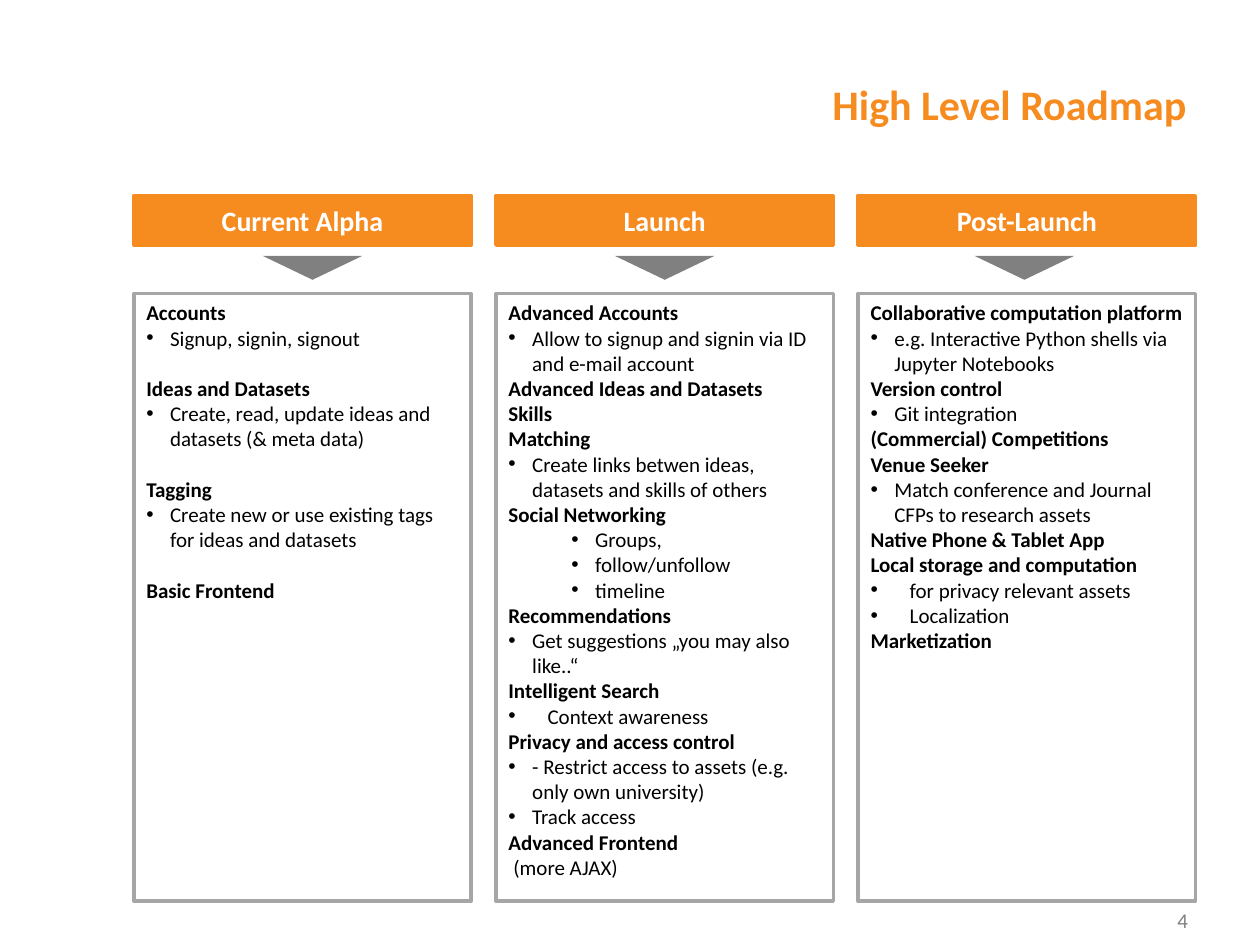
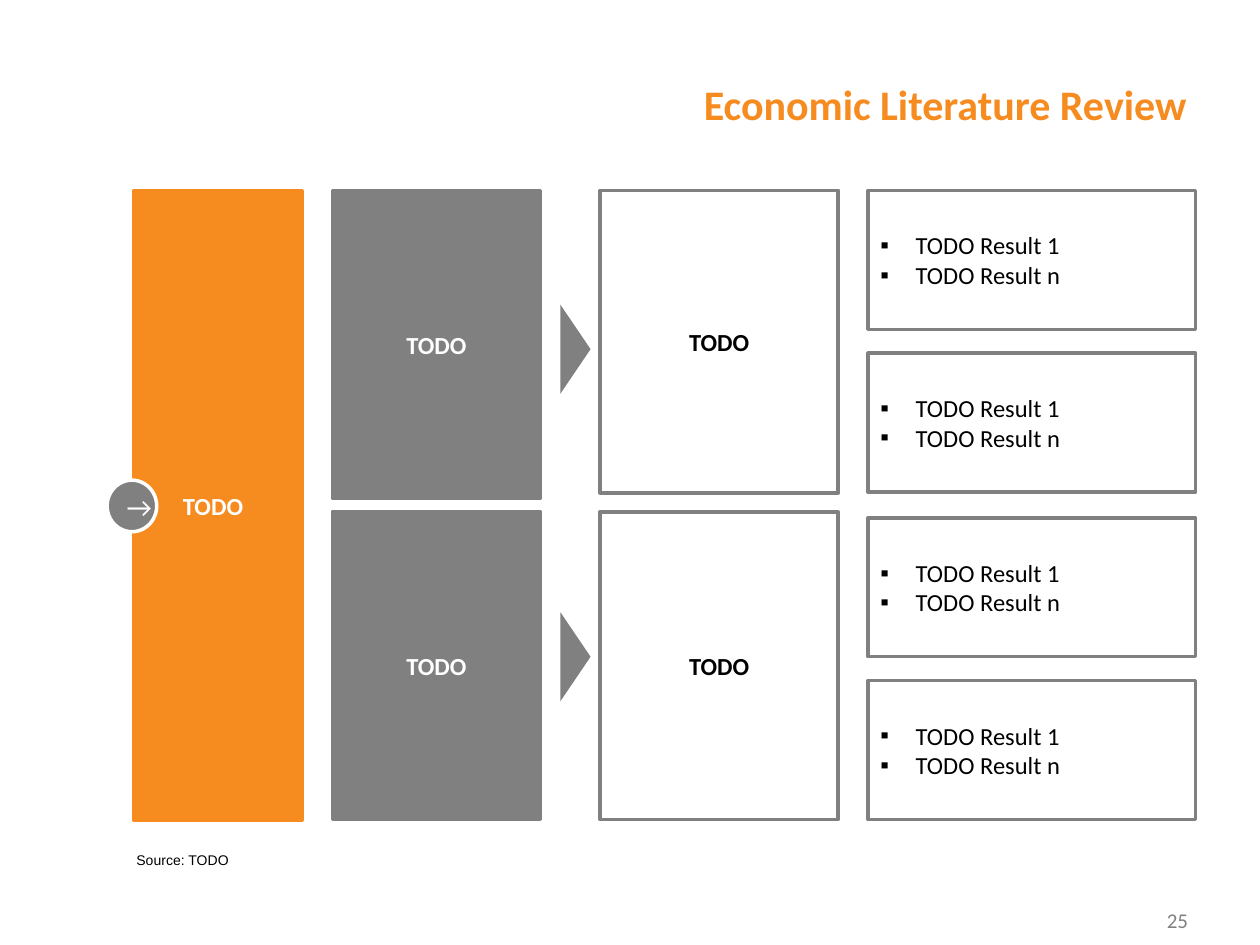
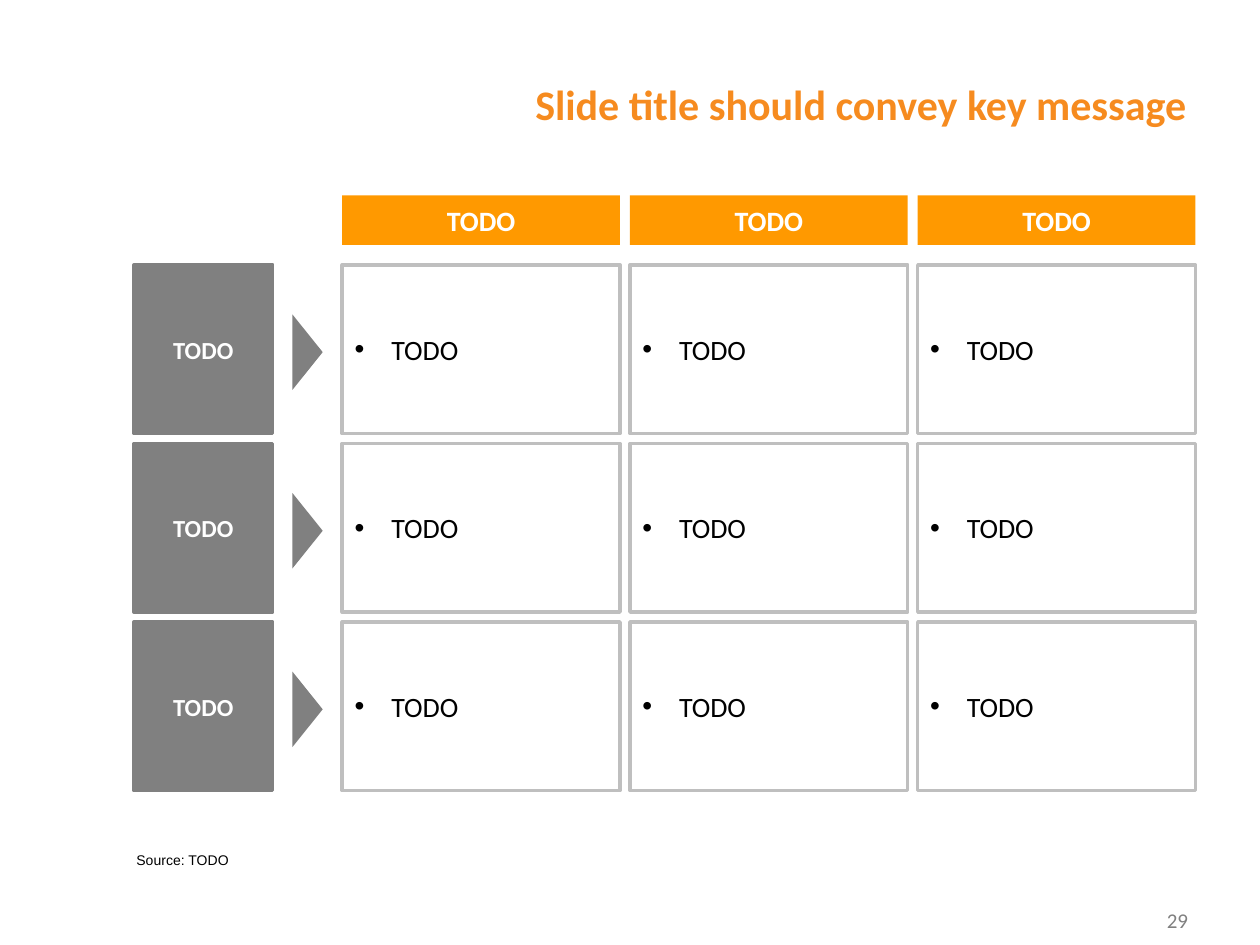
from lxml.etree import SubElement
from pptx import Presentation
from pptx.dml.color import RGBColor
from pptx.enum.shapes import MSO_SHAPE
from pptx.enum.text import MSO_ANCHOR, PP_ALIGN
from pptx.oxml.ns import qn
from pptx.util import Cm, Pt

HUES = {
    "brand": "F68B1F", "amber": "FF9900", "gray": "808080", "mid": "A6A6A6",
    "pale": "BFBFBF", "white": "FFFFFF", "black": "000000",
}

# Line kinds: bold, left margin, hanging indent (cm), bullet, space before (pt)
KINDS = {
    "head": (True, 0, 0, None, 0),
    "next": (True, 0, 0, None, 14.4),
    "note": (False, 0.1, 0, None, 0),
    "item": (False, 0.48, 0.48, "•", 0),
    "wide": (False, 0.79, 0.79, "•", 0),
    "deep": (False, 1.75, 0.48, "•", 0),
    "cell": (False, 0.74, 0.74, "•", 0),
    "find": (False, 0.71, 0.71, "▪", 0),
    "push": (True, 0.74, 0, None, 0),
}

# Content area shared by all slides (cm)
LEFT, TOP, WIDTH = 2.7, 3.84, 21.4

ROADMAP = [
    ("Current Alpha", 2.6, [
        ("head", "Accounts"),
        ("item", "Signup, signin, signout"),
        ("next", "Ideas and Datasets"),
        ("item", "Create, read, update ideas and datasets (& meta data)"),
        ("next", "Tagging"),
        ("item", "Create new or use existing tags for ideas and datasets"),
        ("next", "Basic Frontend"),
    ]),
    ("Launch", 2.4, [
        ("head", "Advanced Accounts"),
        ("item", "Allow to signup and signin via ID and e-mail account"),
        ("head", "Advanced Ideas and Datasets"),
        ("head", "Skills"),
        ("head", "Matching"),
        ("item", "Create links betwen ideas, datasets and skills of others"),
        ("head", "Social Networking"),
        ("deep", "Groups,"),
        ("deep", "follow/unfollow"),
        ("deep", "timeline"),
        ("head", "Recommendations"),
        ("item", "Get suggestions „you may also like..“"),
        ("head", "Intelligent Search"),
        ("wide", "Context awareness"),
        ("head", "Privacy and access control"),
        ("item", "- Restrict access to assets (e.g. only own university)"),
        ("item", "Track access"),
        ("head", "Advanced Frontend"),
        ("note", "(more AJAX)"),
    ]),
    ("Post-Launch", 2.35, [
        ("head", "Collaborative computation platform"),
        ("item", "e.g. Interactive Python shells via Jupyter Notebooks"),
        ("head", "Version control"),
        ("item", "Git integration"),
        ("head", "(Commercial) Competitions"),
        ("head", "Venue Seeker"),
        ("item", "Match conference and Journal CFPs to research assets"),
        ("head", "Native Phone & Tablet App"),
        ("head", "Local storage and computation"),
        ("wide", "for privacy relevant assets"),
        ("wide", "Localization"),
        ("head", "Marketization"),
    ]),
]


def hue(name):
    return RGBColor.from_string(HUES[name])


def write(shape, lines, size, color="black", align=PP_ALIGN.LEFT,
          anchor=MSO_ANCHOR.MIDDLE, face="Calibri"):
    """Fill a shape with (kind, text) lines."""
    frame = shape.text_frame
    frame.word_wrap = True
    frame.vertical_anchor = anchor
    for i, (kind, text) in enumerate(lines):
        bold, left, hang, mark, gap = KINDS[kind]
        para = frame.paragraphs[0] if i == 0 else frame.add_paragraph()
        para.text = text
        para.alignment = align
        if gap:
            para.space_before = Pt(gap)
        props = para._p.get_or_add_pPr()
        props.set("marL", str(Cm(left)))
        props.set("indent", str(-Cm(hang)))
        if mark:
            SubElement(props, qn("a:buFont"), typeface="Arial")
            SubElement(props, qn("a:buChar"), char=mark)
        font = para.font
        font.name, font.size, font.bold = face, Pt(size), bold
        font.color.rgb = hue(color)


def block(slide, x, y, w, h, fill=None, line=None, form=MSO_SHAPE.RECTANGLE):
    shape = slide.shapes.add_shape(form, Cm(x), Cm(y), Cm(w), Cm(h))
    shape.shadow.inherit = False
    if fill:
        shape.fill.solid()
        shape.fill.fore_color.rgb = hue(fill)
    else:
        shape.fill.background()
    if line:
        shape.line.color.rgb = hue(line)
        shape.line.width = Pt(2)
    else:
        shape.line.fill.background()
    return shape


def label(slide, x, y, w, h, text, size, fill=None, line=None, color="white"):
    """Box with one bold centred line."""
    box = block(slide, x, y, w, h, fill, line)
    write(box, [("head", text)], size, color, PP_ALIGN.CENTER)


def tip(slide, x, y, base, depth, turn):
    """Gray triangle centred on x, y."""
    shape = block(slide, x - base / 2, y - depth / 2, base, depth, "gray",
                  form=MSO_SHAPE.ISOSCELES_TRIANGLE)
    shape.rotation = turn


def textbox(slide, x, y, w, h):
    return slide.shapes.add_textbox(Cm(x), Cm(y), Cm(w), Cm(h))


def page(deck, title, number):
    """Blank slide with title and page number."""
    slide = deck.slides.add_slide(deck.slide_layouts[6])
    box = textbox(slide, 8.5, 0, 15.67, 2.72)
    write(box, [("head", title)], 24, "brand", PP_ALIGN.RIGHT, MSO_ANCHOR.BOTTOM)
    box.text_frame.paragraphs[0].line_spacing = Pt(29)
    box = textbox(slide, 18.3, 18.18, 5.9, 0.95)
    write(box, [("note", number)], 12, "gray", PP_ALIGN.RIGHT, MSO_ANCHOR.TOP)
    return slide


def source(slide):
    box = textbox(slide, 2.4, 17.04, 10.6, 0.58)
    write(box, [("note", "Source: TODO")], 8, anchor=MSO_ANCHOR.TOP, face="Arial")


def roadmap(slide, x, y, w):
    """Columns of header, arrow and list."""
    wide = 6.8
    step = (w - wide) / (len(ROADMAP) - 1)
    for i, (name, mark, lines) in enumerate(ROADMAP):
        left = x + i * step
        label(slide, left, y, wide, 1, name, 16, "brand", "brand")
        tip(slide, left + mark + 1, y + 1.46, 2, 0.48, 180)
        box = block(slide, left, y + 1.98, wide, 12.25, line="mid")
        write(box, lines, 12, anchor=MSO_ANCHOR.TOP)


def review(slide, x, y):
    """Topic bar that splits into two rows with results."""
    bar = block(slide, x, y, 3.4, 12.7, "brand", "brand")
    write(bar, [("push", "TODO")], 14, "white")
    disc = block(slide, x - 0.54, y + 5.84, 1, 1.04, "gray", "white", MSO_SHAPE.OVAL)
    write(disc, [("note", "→")], 16, "white", PP_ALIGN.CENTER)

    for row, (high, mid) in enumerate([(6.1, 3.2), (6.2, 9.4)]):
        top = y + row * 6.48
        label(slide, x + 4, top, 4.2, 6.2, "TODO", 14, "gray", "gray")
        label(slide, x + 9.4, top, 4.8, high, "TODO", 14, line="gray", color="black")
        tip(slide, x + 8.9, y + mid, 1.8, 0.61, 90)
        for k in range(2):
            box = block(slide, x + 14.8, y + row * 6.6 + k * 3.28, 6.6, 2.8, line="gray")
            write(box, [("find", "TODO Result 1"), ("find", "TODO Result n")], 14)


def matrix(slide, x, y):
    """Three by three cells with column and row heads."""
    cols = [x + 4.2 + i * 5.8 for i in range(3)]
    for left in cols:
        label(slide, left, y, 5.6, 1, "TODO", 16, "amber")
    for row in range(3):
        top = y + 1.4 + row * 3.6
        label(slide, x, top, 2.8, 3.4, "TODO", 14, "gray", "gray")
        tip(slide, x + 3.5, top + 1.76, 1.52, 0.61, 90)
        for left in cols:
            box = block(slide, left, top, 5.6, 3.4, line="pale")
            write(box, [("cell", "TODO")], 16)


def main():
    deck = Presentation()
    deck.slide_width, deck.slide_height = Cm(25.4), Cm(19.05)

    roadmap(page(deck, "High Level Roadmap", "4"), LEFT, TOP + 0.1, WIDTH)

    slide = page(deck, "Economic Literature Review", "25")
    review(slide, LEFT, TOP)
    source(slide)

    slide = page(deck, "Slide title should convey key message", "29")
    matrix(slide, LEFT, TOP + 0.1)
    source(slide)

    deck.save("out.pptx")


if __name__ == "__main__":
    main()
